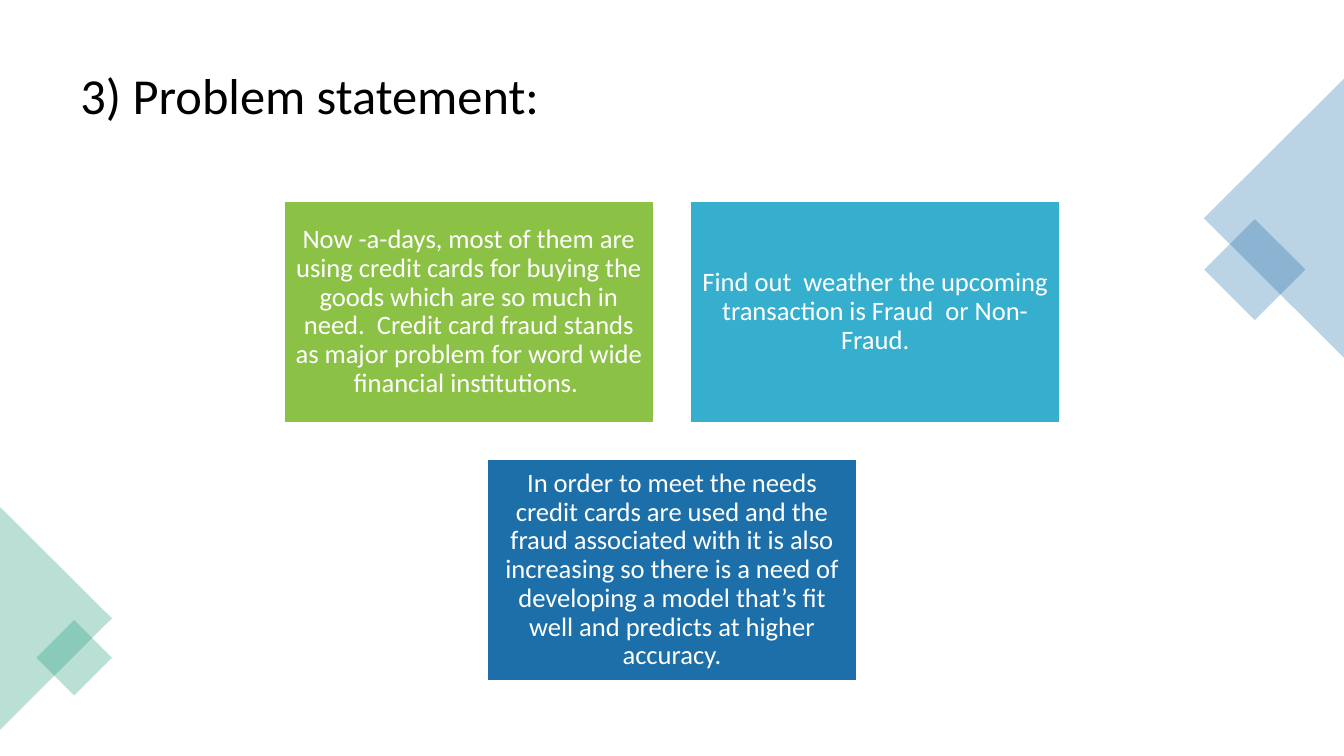
from dataclasses import dataclass

from lxml import etree
from pptx import Presentation
from pptx import util as u
from pptx.dml.color import RGBColor
from pptx.enum import shapes, text
from pptx.oxml.ns import qn


@dataclass(frozen=True)
class Theme:
    font: str = "Calibri"
    title_size: int = 36
    card_size: int = 19
    black: str = "000000"
    white: str = "FFFFFF"
    lime: str = "8BC145"
    cyan: str = "36AFCE"
    blue: str = "1D6FA9"
    green: str = "1D9A78"
    decor_alpha: int = 30


theme = Theme()


def write(sp, words, size, color, align=text.PP_ALIGN.LEFT, inset=None):
    tf = sp.text_frame
    tf.word_wrap = True
    tf.vertical_anchor = text.MSO_ANCHOR.MIDDLE
    if inset is not None:
        tf.margin_left = tf.margin_right = u.Inches(inset)
        tf.margin_top = tf.margin_bottom = u.Inches(inset)
    p = tf.paragraphs[0]
    p.alignment = align
    p.line_spacing = 0.9
    r = p.add_run()
    r.text = words
    r.font.name = theme.font
    r.font.size = u.Pt(size)
    r.font.color.rgb = RGBColor.from_string(color)


def add_block(kind, left, top, width, height, color):
    """Add a flat filled shape without outline or shadow."""
    sp = s.shapes.add_shape(kind, *map(u.Inches, (left, top, width, height)))
    sp.shadow.inherit = False
    sp.fill.solid()
    sp.fill.fore_color.rgb = RGBColor.from_string(color)
    sp.line.fill.background()
    return sp


SLIDE_W, SLIDE_H = 13.33, 7.5
prs = Presentation()
prs.slide_width, prs.slide_height = u.Inches(SLIDE_W), u.Inches(SLIDE_H)
s = prs.slides.add_slide(prs.slide_layouts[6])

# Translucent corner decorations
RECT, TRIANGLE = shapes.MSO_SHAPE.RECTANGLE, shapes.MSO_SHAPE.ISOSCELES_TRIANGLE
decorations = [
    (RECT, 12.09, 2.32, 0.71, 0.71, 45, theme.blue),
    (TRIANGLE, 11.25, 1.47, 2.77, 1.39, 270, theme.blue),
    (TRIANGLE, -0.55, 5.58, 2.21, 1.11, 90, theme.green),
    (RECT, 0.47, 6.26, 0.53, 0.53, 45, theme.green),
]
for kind, left, top, width, height, angle, color in decorations:
    sp = add_block(kind, left, top, width, height, color)
    sp.rotation = angle
    clr = sp.element.spPr.find(qn("a:solidFill")).find(qn("a:srgbClr"))
    etree.SubElement(clr, qn("a:alpha")).set("val", str(theme.decor_alpha * 1000))

# Title
title = s.shapes.add_textbox(u.Inches(0.7), u.Inches(0.35), u.Inches(11.93), u.Inches(1.24))
write(title, "3) Problem statement:", theme.title_size, theme.black)

# Cards, each row centred on the slide
CARD_W, CARD_H, GAP, CARDS_TOP = 3.66, 2.19, 0.37, 2.0
card_rows = [
    [
        ("Now -a-days, most of them are using credit cards for buying the goods "
         "which are so much in need.  Credit card fraud stands as major problem "
         "for word wide financial institutions. ", theme.lime),
        ("Find out  weather the upcoming transaction is Fraud  or Non-Fraud.", theme.cyan),
    ],
    [
        ("In order to meet the needs credit cards are used and the fraud associated "
         "with it is also increasing so there is a need of developing a model that’s "
         "fit well and predicts at higher accuracy.", theme.blue),
    ],
]
for row, cards in enumerate(card_rows):
    row_w = len(cards) * (CARD_W + GAP) - GAP
    row_left = (SLIDE_W - row_w) / 2
    top = CARDS_TOP + row * (CARD_H + GAP)
    for col, (words, color) in enumerate(cards):
        card = add_block(RECT, row_left + col * (CARD_W + GAP), top, CARD_W, CARD_H, color)
        card.line.color.rgb = RGBColor.from_string(theme.white)
        card.line.width = u.Pt(1)
        write(card, words, theme.card_size, theme.white,
              align=text.PP_ALIGN.CENTER, inset=0.08)

prs.save("out.pptx")
